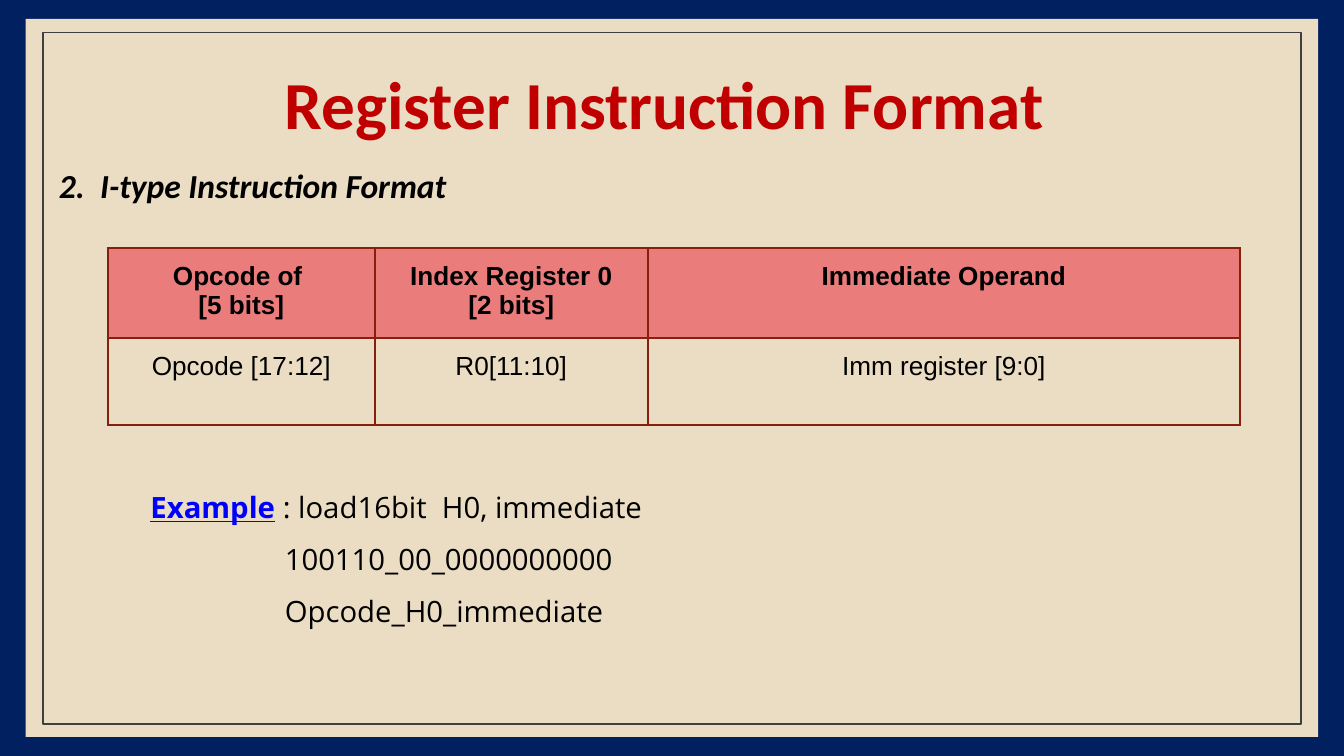
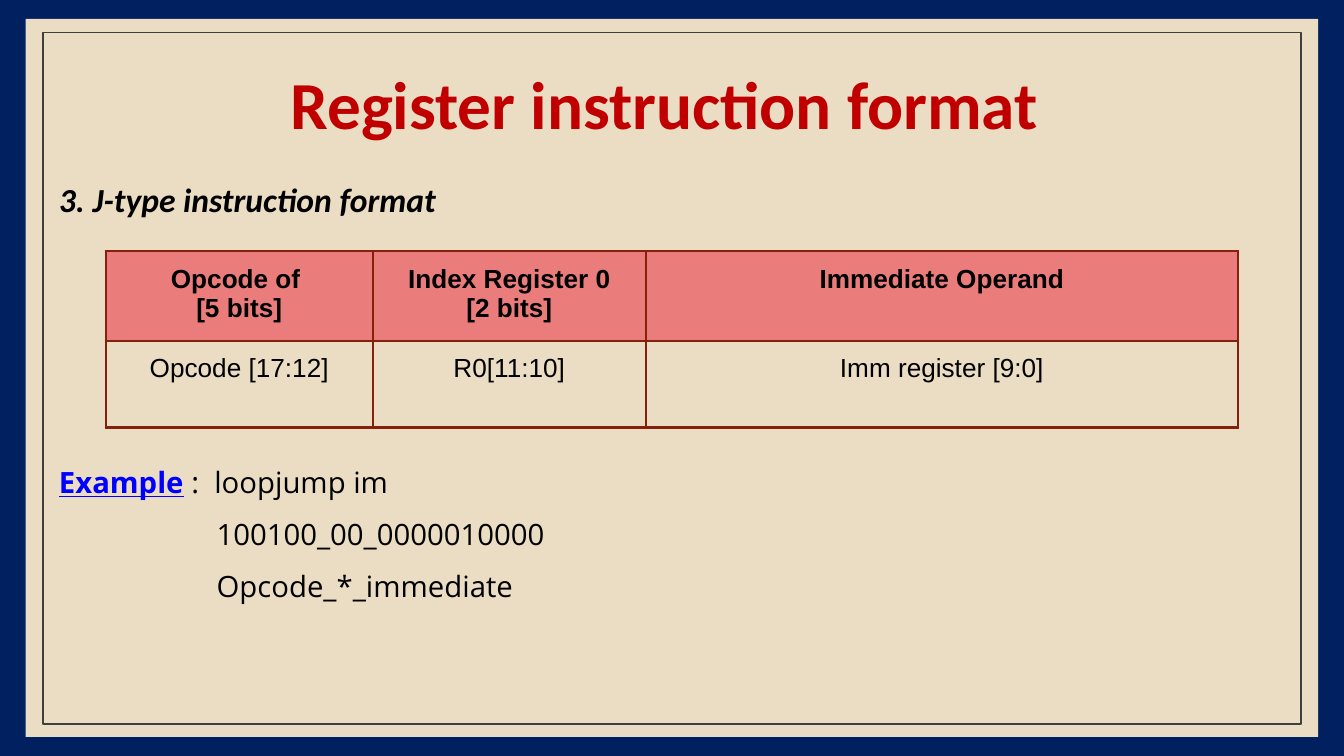
from lxml.etree import SubElement
from pptx import Presentation
from pptx.dml.color import RGBColor
from pptx.enum.shapes import MSO_SHAPE as Preset
from pptx.enum.text import MSO_ANCHOR as Anchor, PP_ALIGN as Align
from pptx.oxml.ns import qn
from pptx.util import Pt

# Shared look
NAVY, SAND, GREY = "002060", "EBDDC3", "3F3F3F"
RED, BLUE, BLACK = "C00000", "0000FF", "000000"
BROWN, PINK = "85200C", "EB7C7C"
CONTENT_LEFT, CONTENT_WIDTH = 24.5, 671

# Instruction layout, the same for both types
FIELD_WIDTHS = (143, 146.3, 317.2)
FIELD_HEIGHT = 46.5
FIELDS = (
    (("Opcode of ", "[5 bits]"), ("Index Register 0", "[2 bits]"),
     ("Immediate Operand",)),
    (("Opcode [17:12]",), ("R0[11:10]",), ("Imm register [9:0]",)),
)


def rgb(code):
    return RGBColor.from_string(code)


def add_run(paragraph, text, size, font, color=BLACK, bold=False,
            italic=False, underline=False):
    run = paragraph.add_run()
    run.text = text
    run.font.size = Pt(size)
    run.font.name = font
    run.font.color.rgb = rgb(color)
    run.font.bold = bold
    run.font.italic = italic
    run.font.underline = underline


def add_text_frame(slide, left, top, width, height, inset=3.6):
    frame = slide.shapes.add_textbox(
        Pt(left), Pt(top), Pt(width), Pt(height)).text_frame
    frame.word_wrap = True
    frame.margin_left = frame.margin_right = Pt(7.2)
    frame.margin_top = frame.margin_bottom = Pt(inset)
    return frame


def add_panel(slide, left, top, width, height, fill=None, line=None):
    panel = slide.shapes.add_shape(
        Preset.RECTANGLE, Pt(left), Pt(top), Pt(width), Pt(height))
    panel.shadow.inherit = False
    if fill:
        panel.fill.solid()
        panel.fill.fore_color.rgb = rgb(fill)
    else:
        panel.fill.background()
    if line:
        panel.line.color.rgb = rgb(line)
        panel.line.width = Pt(0.75)
    else:
        panel.line.fill.background()


def add_framed_slide(deck):
    slide = deck.slides.add_slide(deck.slide_layouts[6])
    slide.background.fill.solid()
    slide.background.fill.fore_color.rgb = rgb(NAVY)
    add_panel(slide, 13.8, 10.2, 692.4, 384.6, fill=SAND)
    add_panel(slide, 23, 17.4, 674, 370.5, line=GREY)
    return slide


def add_title(slide, text):
    frame = add_text_frame(slide, CONTENT_LEFT, 35, CONTENT_WIDTH, 45.4)
    frame.vertical_anchor = Anchor.MIDDLE
    title = frame.paragraphs[0]
    title.alignment = Align.CENTER
    title.line_spacing = 0.9
    add_run(title, text, 36, "Calibri", RED, bold=True)


def add_heading(slide, text, top):
    frame = add_text_frame(slide, CONTENT_LEFT, top, CONTENT_WIDTH, 30)
    heading = frame.paragraphs[0]
    heading.space_before = Pt(9)
    add_run(heading, text, 18, "Calibri", bold=True, italic=True)


def set_borders(cell):
    properties = cell._tc.get_or_add_tcPr()
    for position, side in enumerate(("lnL", "lnR", "lnT", "lnB")):
        border = SubElement(properties, qn(f"a:{side}"), w=str(Pt(1.5)))
        fill = SubElement(border, qn("a:solidFill"))
        SubElement(fill, qn("a:srgbClr"), val=BROWN)
        properties.insert(position, border)


def add_field_table(slide, left, top):
    table = slide.shapes.add_table(
        len(FIELDS), len(FIELD_WIDTHS), Pt(left), Pt(top),
        Pt(sum(FIELD_WIDTHS)), Pt(FIELD_HEIGHT * len(FIELDS))).table
    table.first_row = table.horz_banding = False
    for column, width in zip(table.columns, FIELD_WIDTHS):
        column.width = Pt(width)
    for row_index, fields in enumerate(FIELDS):
        is_header = row_index == 0
        table.rows[row_index].height = Pt(FIELD_HEIGHT)
        for column_index, lines in enumerate(fields):
            cell = table.cell(row_index, column_index)
            cell.margin_left = cell.margin_right = Pt(7.2)
            cell.margin_top = cell.margin_bottom = Pt(7.2)
            if is_header:
                cell.fill.solid()
                cell.fill.fore_color.rgb = rgb(PINK)
            else:
                cell.fill.background()
            set_borders(cell)
            frame = cell.text_frame
            for line_index, line in enumerate(lines):
                paragraph = (frame.add_paragraph() if line_index
                             else frame.paragraphs[0])
                paragraph.alignment = Align.CENTER
                add_run(paragraph, line, 14, "Arial", bold=is_header)


def add_example(slide, left, top, instruction, encodings, indent):
    frame = add_text_frame(slide, left, top, 401, 98.6, inset=7.2)
    call = frame.paragraphs[0]
    call.space_before = Pt(9)
    add_run(call, "Example", 15.7, "Open Sans", BLUE, bold=True,
            underline=True)
    add_run(call, instruction, 15.7, "Open Sans")
    for encoding in encodings:
        paragraph = frame.add_paragraph()
        paragraph.space_before = Pt(9)
        paragraph._p.get_or_add_pPr().set("marL", str(Pt(indent)))
        add_run(paragraph, encoding, 15.7, "Open Sans")


def main():
    deck = Presentation()
    deck.slide_width, deck.slide_height = Pt(720), Pt(405)

    # I-type
    i_type = add_framed_slide(deck)
    add_title(i_type, "Register Instruction Format ")
    add_heading(i_type, "2.  I-type Instruction Format", 85)
    add_field_table(i_type, 57.8, 133)
    add_example(i_type, 73.5, 255, " : load16bit  H0, immediate",
                ("100110_00_0000000000", "Opcode_H0_immediate"), 72)

    # J-type
    j_type = add_framed_slide(deck)
    add_title(j_type, "Register instruction format ")
    add_heading(j_type, "3. J-type instruction format", 92.3)
    add_field_table(j_type, 56.7, 134.5)
    add_example(j_type, CONTENT_LEFT, 241.5, " :  loopjump im",
                ("100100_00_0000010000", "Opcode_*_immediate"), 84.5)

    deck.save("out.pptx")


if __name__ == "__main__":
    main()
